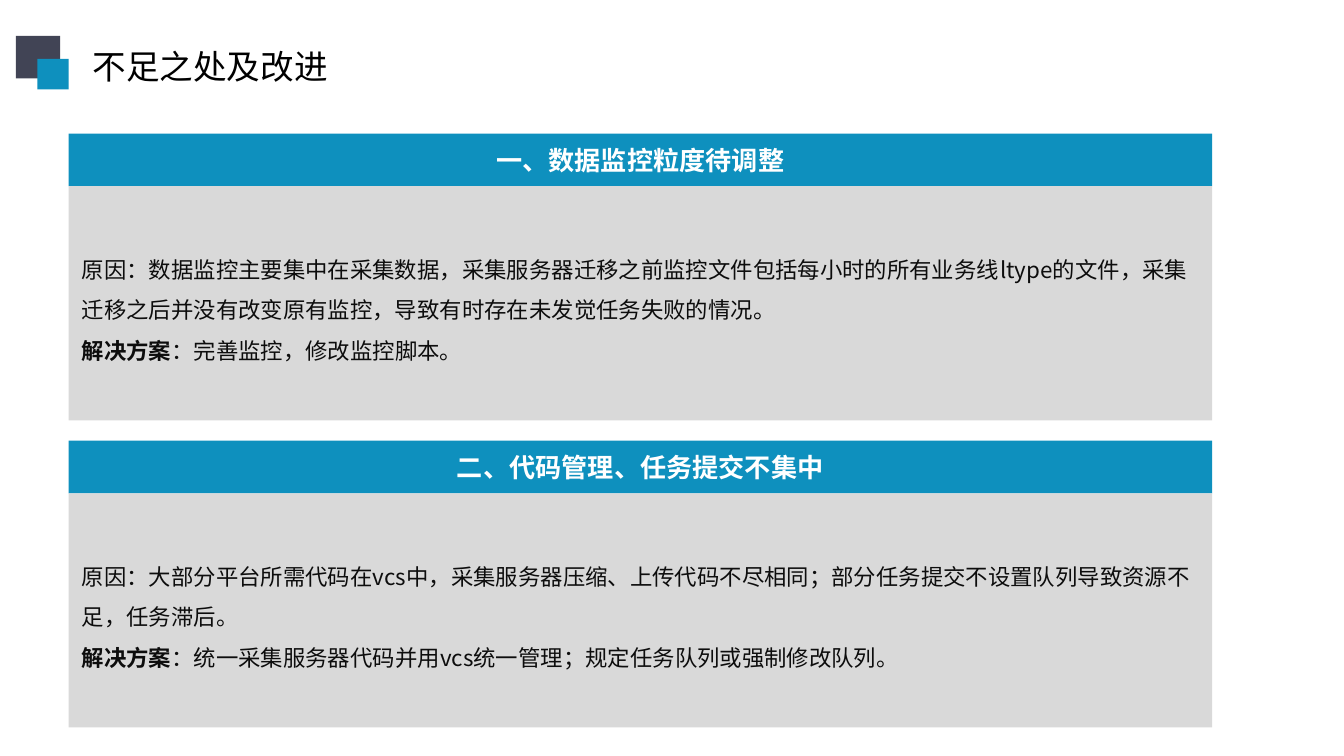
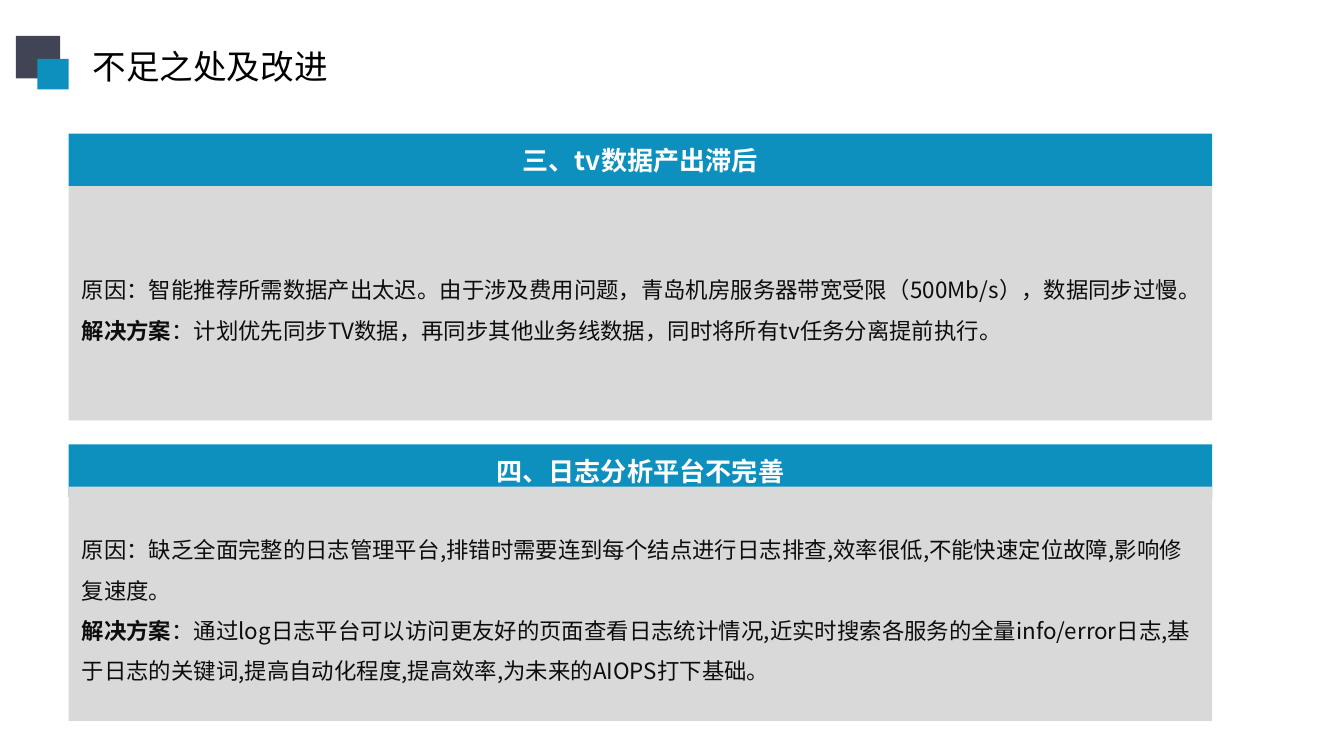
"""Build two slides on shortcomings and their improvements."""
from lxml import etree
from pptx import Presentation
from pptx.dml.color import RGBColor
from pptx.enum.shapes import MSO_SHAPE
from pptx.enum.text import MSO_ANCHOR, MSO_AUTO_SIZE, PP_ALIGN
from pptx.oxml.ns import qn
from pptx.util import Pt

RECT = MSO_SHAPE.RECTANGLE
MIDDLE = MSO_ANCHOR.MIDDLE
LEFT, CENTER = PP_ALIGN.LEFT, PP_ALIGN.CENTER
FIXED = MSO_AUTO_SIZE.NONE

FONT = "Noto Sans CJK SC"
BLUE, SLATE, GREY = "0E90BE", "414455", "D9D9D9"
WHITE, BLACK, INK = "FFFFFF", "000000", "0D0D0D"
TITLE = "不足之处及改进"
LABEL = "解决方案"
EDGE, WIDTH, HEAD, BODY = 36.7, 612.7, 28.2, 125.4

SLIDES = [
    [
        (71.6, 99.8, "一、数据监控粒度待调整",
         "原因：数据监控主要集中在采集数据，采集服务器迁移之前监控文件包括每小时的所有业务线ltype的文件，采集迁移之后并没有改变原有监控，导致有时存在未发觉任务失败的情况。",
         "：完善监控，修改监控脚本。"),
        (236.1, 264.3, "二、代码管理、任务提交不集中",
         "原因：大部分平台所需代码在vcs中，采集服务器压缩、上传代码不尽相同；部分任务提交不设置队列导致资源不足，任务滞后。",
         "：统一采集服务器代码并用vcs统一管理；规定任务队列或强制修改队列。"),
    ],
    [
        (71.6, 99.8, "三、tv数据产出滞后",
         "原因：智能推荐所需数据产出太迟。由于涉及费用问题，青岛机房服务器带宽受限（500Mb/s），数据同步过慢。",
         "：计划优先同步TV数据，再同步其他业务线数据，同时将所有tv任务分离提前执行。"),
        (238.1, 260.8, "四、日志分析平台不完善",
         "原因：缺乏全面完整的日志管理平台,排错时需要连到每个结点进行日志排查,效率很低,不能快速定位故障,影响修复速度。",
         "：通过log日志平台可以访问更友好的页面查看日志统计情况,近实时搜索各服务的全量info/error日志,基于日志的关键词,提高自动化程度,提高效率,为未来的AIOPS打下基础。"),
    ],
]


def write(shape, paras, size=12, color=INK, align=LEFT, space=1.0):
    """Fill a shape with paragraphs, each a list of (text, bold) runs."""
    frame = shape.text_frame
    frame.auto_size = FIXED
    frame.word_wrap = True
    frame.vertical_anchor = MIDDLE
    for i, runs in enumerate(paras):
        para = frame.add_paragraph() if i else frame.paragraphs[0]
        para.alignment = align
        para.line_spacing = space
        for text, bold in runs:
            run = para.add_run()
            run.text = text
            run.font.name = FONT
            run.font.size = Pt(size)
            run.font.bold = bold
            run.font.color.rgb = RGBColor.from_string(color)
            props = run._r.get_or_add_rPr()
            etree.SubElement(props, qn("a:ea"), typeface=FONT)


def block(slide, left, top, width, height, color):
    """Add a plain filled rectangle."""
    shape = slide.shapes.add_shape(RECT, Pt(left), Pt(top), Pt(width), Pt(height))
    shape.shadow.inherit = False
    shape.fill.solid()
    shape.fill.fore_color.rgb = RGBColor.from_string(color)
    shape.line.fill.background()
    return shape


deck = Presentation()
deck.slide_width, deck.slide_height = Pt(720), Pt(405)

for panels in SLIDES:
    slide = deck.slides.add_slide(deck.slide_layouts[5])
    title = slide.shapes.title
    title.left, title.top = Pt(42.4), Pt(21)
    title.width, title.height = Pt(140.4), Pt(29)
    title.text_frame.margin_right = 0
    write(title, [[(TITLE, False)]], size=18, color=BLACK)

    block(slide, 8.6, 19.3, 23.7, 22.8, SLATE)
    block(slide, 20, 31.5, 16.8, 16.4, BLUE)

    for top, below, name, cause, cure in panels:
        head = block(slide, EDGE, top, WIDTH, HEAD, BLUE)
        write(head, [[(name, True)]], size=14, color=WHITE, align=CENTER)
        body = block(slide, EDGE, below, WIDTH, BODY, GREY)
        write(body, [[(cause, False)], [(LABEL, True), (cure, False)]], space=1.5)

deck.save("out.pptx")
